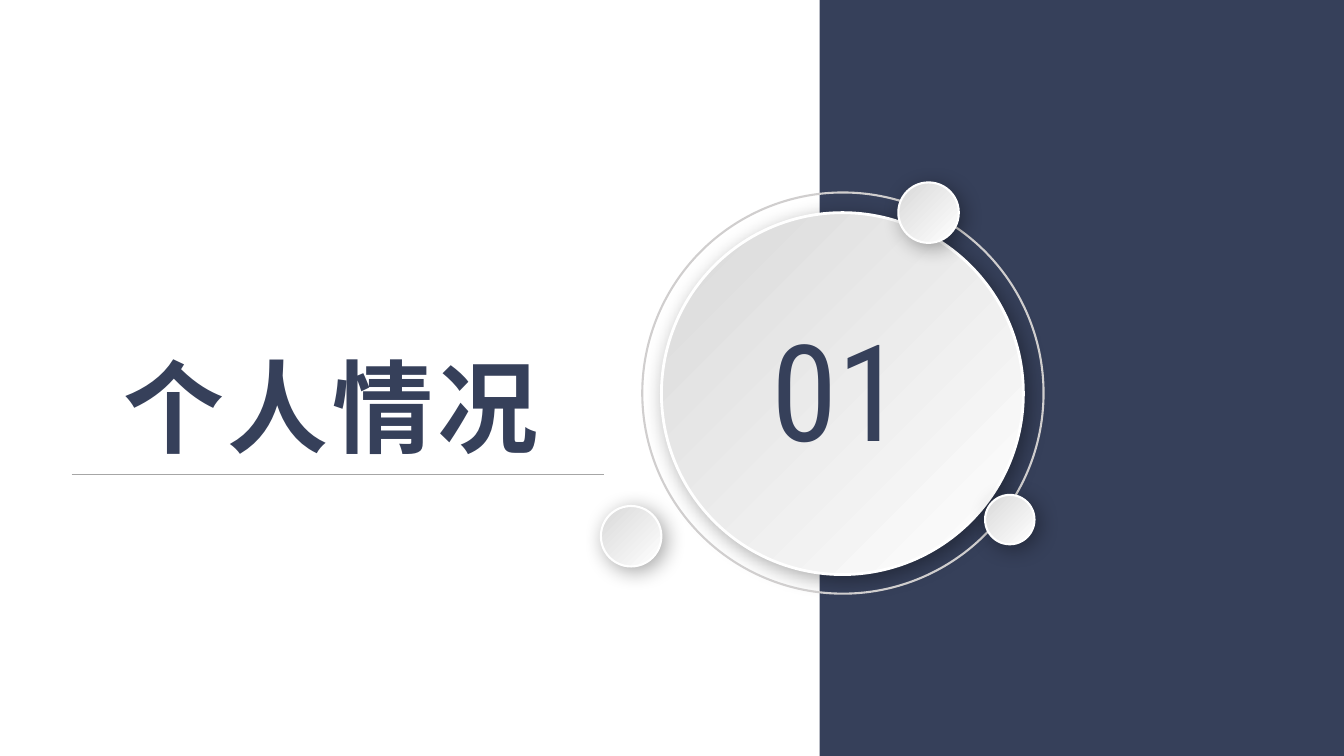
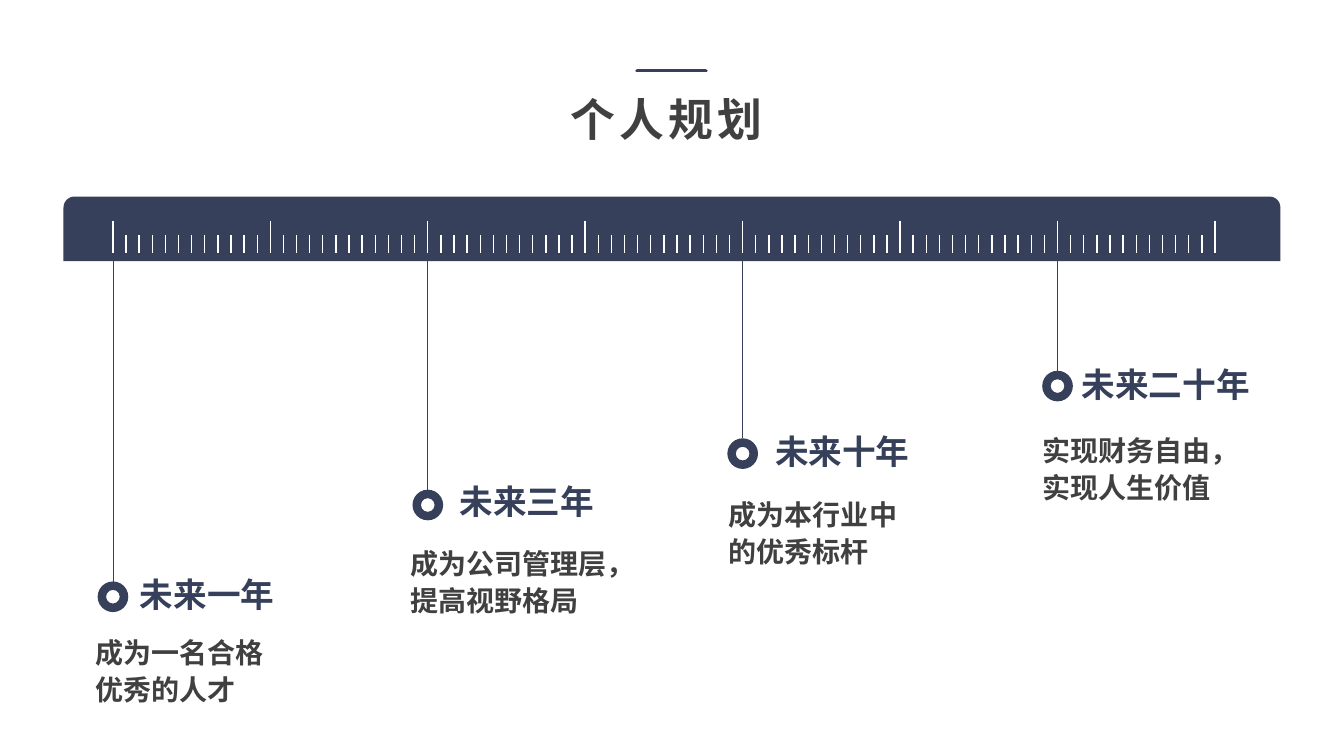
from dataclasses import dataclass

from lxml.etree import SubElement
from pptx import Presentation
from pptx.dml.color import RGBColor
from pptx.enum.shapes import MSO_CONNECTOR as Link, MSO_SHAPE as Kind
from pptx.enum.text import MSO_ANCHOR as Anchor, MSO_AUTO_SIZE as Fit, PP_ALIGN as Align
from pptx.oxml.ns import qn
from pptx.util import Inches, Pt

COLORS = {
    "navy": "36405A",
    "white": "FFFFFF",
    "silver": "D9D9D9",
    "ring": "D0CECE",
    "rule": "A6A6A6",
    "text": "404040",
}
HAN = "Noto Sans CJK SC"
DIGIT = "Roboto Condensed"

TICKS = 84
MAJOR = 12
FIRST, LAST = 1.12, 12.05


@dataclass
class Box:
    left: float
    top: float
    width: float
    height: float


@dataclass
class Style:
    size: float
    color: str = "navy"
    bold: bool = True
    font: str = HAN
    space: int = 0  # hundredths of a point


@dataclass
class Disc:
    left: float
    top: float
    size: float
    line: float = 1.5


@dataclass
class Goal:
    tick: int
    ring: float
    head: str
    head_at: tuple[float, float]
    body: str
    body_box: Box


DISCS = [
    Disc(6.56, 2.11, 3.59, 2),
    Disc(8.91, 1.81, 0.6),
    Disc(5.96, 5.02, 0.6),
    Disc(9.77, 4.91, 0.49),
]

GOALS = [
    Goal(0, 5.92, "未来一年", (1.29, 5.64),
         "成为一名合格优秀的人才", Box(0.85, 6.22, 1.98, 0.82)),
    Goal(24, 5.01, "未来三年", (4.46, 4.72),
         "成为公司管理层，提高视野格局", Box(3.97, 5.34, 2.25, 0.82)),
    Goal(48, 4.5, "未来十年", (7.59, 4.23),
         "成为本行业中的优秀标杆", Box(7.13, 4.85, 2.08, 0.82)),
    Goal(72, 3.83, "未来二十年", (10.63, 3.56),
         "实现财务自由，实现人生价值", Box(10.24, 4.22, 2.32, 0.82)),
]


def tint(name: str) -> RGBColor:
    return RGBColor.from_string(COLORS[name])


def place(shape, box: Box) -> None:
    shape.left, shape.top = Inches(box.left), Inches(box.top)
    shape.width, shape.height = Inches(box.width), Inches(box.height)


def write(shape, text: str, style: Style, wrap: bool = False,
          align=Align.LEFT, anchor=Anchor.TOP, gap: float | None = None) -> None:
    frame = shape.text_frame
    frame.text = text
    frame.word_wrap = wrap
    frame.auto_size = Fit.SHAPE_TO_FIT_TEXT
    frame.vertical_anchor = anchor
    line = frame.paragraphs[0]
    line.alignment = align
    line.line_spacing = gap
    run = line.runs[0]
    font = run.font
    font.size, font.bold, font.name = Pt(style.size), style.bold, style.font
    font.color.rgb = tint(style.color)
    props = run._r.get_or_add_rPr()
    SubElement(props, qn("a:ea")).set("typeface", style.font)
    if style.space:
        props.set("spc", str(style.space))


def add_text(slide, box: Box, text: str, style: Style, **look) -> None:
    shape = slide.shapes.add_textbox(0, 0, 0, 0)
    place(shape, box)
    write(shape, text, style, **look)


def add_title(slide, box: Box, text: str, style: Style, anchor=Anchor.TOP) -> None:
    place(slide.shapes.title, box)
    write(slide.shapes.title, text, style, anchor=anchor)


def add_form(slide, kind, box: Box, fill: str | None = None,
             line: str | None = None, width: float = 1):
    shape = slide.shapes.add_shape(kind, 0, 0, 0, 0)
    place(shape, box)
    shape.shadow.inherit = False
    if fill:
        shape.fill.solid()
        shape.fill.fore_color.rgb = tint(fill)
    else:
        shape.fill.background()
    if line:
        shape.line.color.rgb = tint(line)
        shape.line.width = Pt(width)
    else:
        shape.line.fill.background()
    return shape


def add_line(slide, start: tuple[float, float], end: tuple[float, float],
             color: str, width: float, cap: str = "flat") -> None:
    ends = [Inches(value) for value in (*start, *end)]
    line = slide.shapes.add_connector(Link.STRAIGHT, *ends)
    line.line.color.rgb = tint(color)
    line.line.width = Pt(width)
    line.line._get_or_add_ln().set("cap", cap)
    SubElement(line._element.spPr, qn("a:effectLst"))


def add_disc(slide, disc: Disc) -> None:
    """Draw a raised disc with a silver sheen and a soft shadow."""
    box = Box(disc.left, disc.top, disc.size, disc.size)
    shape = add_form(slide, Kind.OVAL, box, line="white", width=disc.line)
    shape.fill.gradient()
    shape.fill.gradient_angle = 315
    for stop, name in zip(shape.fill.gradient_stops, ("silver", "white")):
        stop.color.rgb = tint(name)
    effects = shape._element.spPr.find(qn("a:effectLst"))
    shade = SubElement(effects, qn("a:outerShdw"), blurRad=str(Pt(15)),
                       dist=str(Pt(4)), dir="2700000", algn="tl", rotWithShape="0")
    black = SubElement(shade, qn("a:srgbClr"), val="000000")
    SubElement(black, qn("a:alpha"), val="34000")


def tick_x(index: int) -> float:
    return FIRST + index * (LAST - FIRST) / TICKS


def draw_goal(slide, goal: Goal) -> None:
    x = tick_x(goal.tick)
    add_line(slide, (x, 2.58), (x, goal.ring - 0.15), "navy", 0.5)
    for size, fill in ((0.29, "navy"), (0.15, "white")):
        box = Box(x - size / 2, goal.ring - size / 2, size, size)
        add_form(slide, Kind.OVAL, box, fill, "navy")
    width = 0.25 + len(goal.head) / 3
    add_text(slide, Box(*goal.head_at, width, 0.5), goal.head, Style(24))
    add_text(slide, goal.body_box, goal.body, Style(20, "text"), wrap=True, gap=1.1)


def draw_cover(slide) -> None:
    add_form(slide, Kind.RECTANGLE, Box(8.13, 0, 5.2, 7.5), "navy")
    add_title(slide, Box(1.12, 3.37, 4.52, 1.31), "个人情况", Style(72, space=300))
    add_line(slide, (0.71, 4.71), (5.99, 4.71), "rule", 0.5)
    main, *small = DISCS
    add_disc(slide, main)
    add_form(slide, Kind.OVAL, Box(6.37, 1.91, 3.98, 3.98), line="ring", width=1.5)
    for disc in small:
        add_disc(slide, disc)
    add_text(slide, Box(7.14, 3, 2.34, 1.72), "01",
             Style(96, bold=False, font=DIGIT), wrap=True, align=Align.CENTER)


def draw_plan(slide) -> None:
    ruler = add_form(slide, Kind.ROUND_2_SAME_RECTANGLE,
                     Box(0.63, 1.95, 12.07, 0.64), "navy")
    ruler.adjustments[0] = 0.17
    for index in range(TICKS + 1):
        x = tick_x(index)
        top = 2.33 if index % MAJOR else 2.19
        add_line(slide, (x, top), (x, 2.51), "white", 1)
    for goal in GOALS:
        draw_goal(slide, goal)
    add_title(slide, Box(5.56, 0.86, 2.21, 0.64), "个人规划",
              Style(32, "text", space=300), Anchor.MIDDLE)
    add_line(slide, (6.32, 0.7), (7, 0.7), "navy", 2.75, "rnd")


def main() -> None:
    deck = Presentation()
    deck.slide_width, deck.slide_height = Inches(13.33), Inches(7.5)
    for draw in (draw_cover, draw_plan):
        draw(deck.slides.add_slide(deck.slide_layouts[5]))
    deck.save("out.pptx")


if __name__ == "__main__":
    main()
